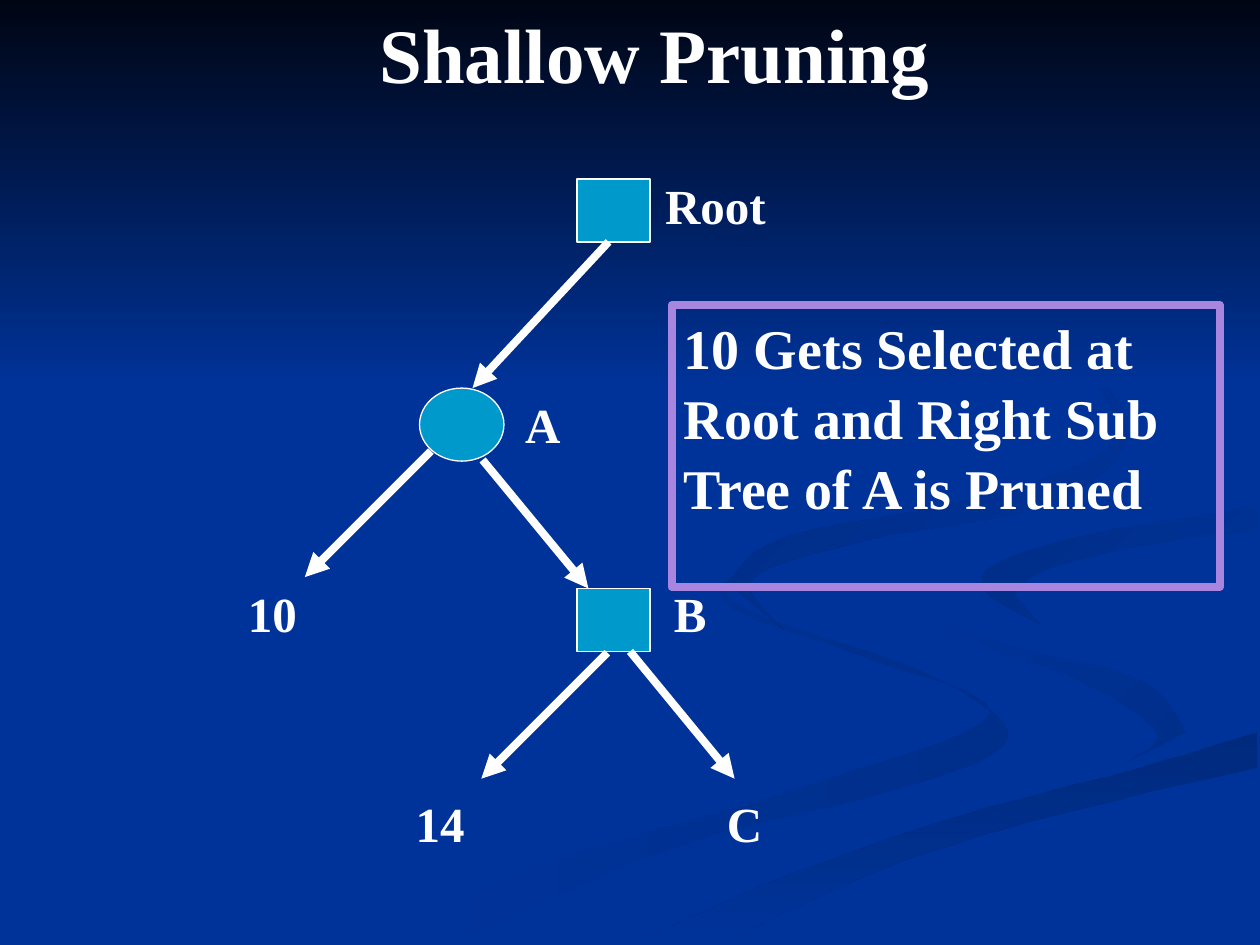
from pptx import Presentation
from pptx.dml.color import RGBColor
from pptx.enum.shapes import MSO_CONNECTOR, MSO_SHAPE
from pptx.enum.text import MSO_ANCHOR, PP_ALIGN
from pptx.oxml.ns import qn
from pptx.util import Inches, Pt
from lxml.etree import SubElement

BASE = "003399"
WHITE = "FFFFFF"
RIBBONS = [
    ("002E8B", 0,
     [(575, 459), (581, 483), (679, 519), (786, 566), (652, 620), (417, 690), (300, 749)],
     [(361, 749), (532, 674), (740, 618), (800, 581), (731, 533), (594, 485), (575, 459)]),
    ("002E8B", 45,
     [(724, 464), (746, 500), (854, 539), (918, 581), (894, 605)],
     [(941, 581), (905, 540), (792, 509), (733, 483), (724, 464)]),
    ("002A7D", 90,
     [(998, 581), (903, 610), (764, 647), (630, 693), (503, 749)],
     [(571, 749), (695, 692), (821, 651), (998, 609)]),
    ("002D86", 45,
     [(998, 402), (865, 424), (791, 447), (782, 469), (826, 496)],
     [(805, 472), (828, 453), (896, 435), (998, 420)]),
    ("002B82", 45,
     [(762, 233), (864, 291), (892, 354), (825, 402), (683, 430), (597, 460), (622, 500)],
     [(577, 462), (625, 426), (791, 392), (886, 348), (846, 279), (762, 233)]),
]


def rgb(code):
    """Return the colour for a hex string."""
    return RGBColor.from_string(code)


def smooth(knots, steps=6):
    """Return points on a Catmull-Rom curve through the knots."""
    ends = [knots[0], *knots, knots[-1]]
    curve = [knots[0]]
    for a, b, c, d in zip(ends, ends[1:], ends[2:], ends[3:]):
        for step in range(1, steps + 1):
            t = step / steps
            curve.append(tuple(
                q + t * ((r - p) + t * ((2 * p - 5 * q + 4 * r - s)
                                        + t * (3 * q - p - 3 * r + s))) / 2
                for p, q, r, s in zip(a, b, c, d)))
    return curve


def blend(shape, first, last, angle):
    """Fill a shape with a two-colour gradient turned clockwise by angle."""
    shape.shadow.inherit = False
    shape.line.fill.background()
    shape.fill.gradient()
    shape.fill.gradient_angle = (360 - angle) % 360
    for stop, code, spot in zip(shape.fill.gradient_stops, (first, last), (0, 1)):
        stop.color.rgb = rgb(code)
        stop.position = spot


def write(shape, text, size=28, wrap=False, spacing=None):
    """Set bold white serif text in a shape, from its top left."""
    frame = shape.text_frame
    frame.word_wrap = wrap
    frame.vertical_anchor = MSO_ANCHOR.TOP
    para = frame.paragraphs[0]
    para.text = text
    para.alignment = PP_ALIGN.LEFT
    para.line_spacing = spacing
    font = para.font
    font.name, font.size, font.bold = "Times New Roman", Pt(size), True
    font.color.rgb = rgb(WHITE)


def backdrop(slide, width, height):
    """Lay the ribbons and the dark band across the top."""
    slide.background.fill.solid()
    slide.background.fill.fore_color.rgb = rgb(BASE)
    for shade, angle, edge, back in RIBBONS:
        points = smooth(edge) + smooth(back)
        pen = slide.shapes.build_freeform(*points[0], scale=Inches(0.01))
        pen.add_line_segments(points[1:], close=True)
        ends = (BASE, shade) if shade == "002E8B" else (shade, BASE)
        blend(pen.convert_to_shape(), *ends, angle)
    band = slide.shapes.add_shape(MSO_SHAPE.RECTANGLE, 0, 0, width, height)
    blend(band, "000514", BASE, 90)


def heading(slide, left, top, width, height):
    """Place the title in front of the backdrop."""
    title = slide.shapes.title
    slide.shapes.element.append(title.element)
    title.left, title.top, title.width, title.height = left, top, width, height
    write(title, "Shallow Pruning", size=44)


def node(slide, kind, left, top, width, height):
    """Draw one tree node."""
    shape = slide.shapes.add_shape(kind, left, top, width, height)
    shape.shadow.inherit = False
    shape.fill.solid()
    shape.fill.fore_color.rgb = rgb("0099CC")
    shape.line.color.rgb = rgb(WHITE)
    shape.line.width = Pt(0.75)


def arrow(slide, *ends):
    """Draw one thick branch with an arrowhead."""
    link = slide.shapes.add_connector(MSO_CONNECTOR.STRAIGHT, *ends)
    link.line.color.rgb = rgb(WHITE)
    link.line.width = Pt(4.5)
    line = link.element.spPr.find(qn("a:ln"))
    SubElement(line, qn("a:tailEnd"), type="triangle")
    SubElement(link.element.spPr, qn("a:effectLst"))


def tree(slide, left, top):
    """Draw the game tree from its top left corner."""
    def spot(x, y):
        return left + Inches(x), top + Inches(y)

    box, disc = MSO_SHAPE.FLOWCHART_PROCESS, MSO_SHAPE.FLOWCHART_CONNECTOR
    for kind, x, y, wide, high in [(box, 3.08, 0.42, 0.58, 0.5),
                                   (disc, 1.83, 2.08, 0.67, 0.58),
                                   (box, 3.08, 3.67, 0.58, 0.5)]:
        node(slide, kind, *spot(x, y), Inches(wide), Inches(high))
    for start, end in [((3.33, 0.92), (2.25, 2.08)), ((1.92, 2.58), (0.92, 3.58)),
                       ((2.33, 2.65), (3.17, 3.67)), ((3.32, 4.18), (2.32, 5.18)),
                       ((3.5, 4.17), (4.33, 5.18))]:
        arrow(slide, *spot(*start), *spot(*end))
    for text, x, y, wide in [("Root", 3.68, 0.34, 1.11), ("A", 2.57, 2.08, 0.49),
                             ("10", 0.37, 3.58, 0.63), ("14", 1.7, 5.25, 0.63),
                             ("C", 4.17, 5.25, 0.46), ("B", 3.75, 3.58, 0.46)]:
        label = slide.shapes.add_textbox(*spot(x, y), Inches(wide), Inches(0.57))
        write(label, text)


def note(slide, left, top, width, height):
    """Frame the remark on the outcome."""
    shape = slide.shapes.add_shape(MSO_SHAPE.RECTANGLE, left, top, width, height)
    shape.shadow.inherit = False
    shape.fill.background()
    shape.line.color.rgb = rgb("A886E0")
    shape.line.width = Pt(4.5)
    write(shape, "10 Gets Selected at Root and Right Sub Tree of A is Pruned",
          size=32, wrap=True, spacing=1.04)


def main():
    """Build and save the slide."""
    deck = Presentation()
    deck.slide_width, deck.slide_height = Inches(10), Inches(7.5)
    slide = deck.slides.add_slide(deck.slide_layouts[5])
    backdrop(slide, deck.slide_width, Inches(3.08))
    heading(slide, Inches(2.91), 0, Inches(5.31), Inches(0.84))
    tree(slide, Inches(1.5), Inches(1))
    note(slide, Inches(5.33), Inches(2.42), Inches(4.35), Inches(2.24))
    deck.save("out.pptx")


if __name__ == "__main__":
    main()
